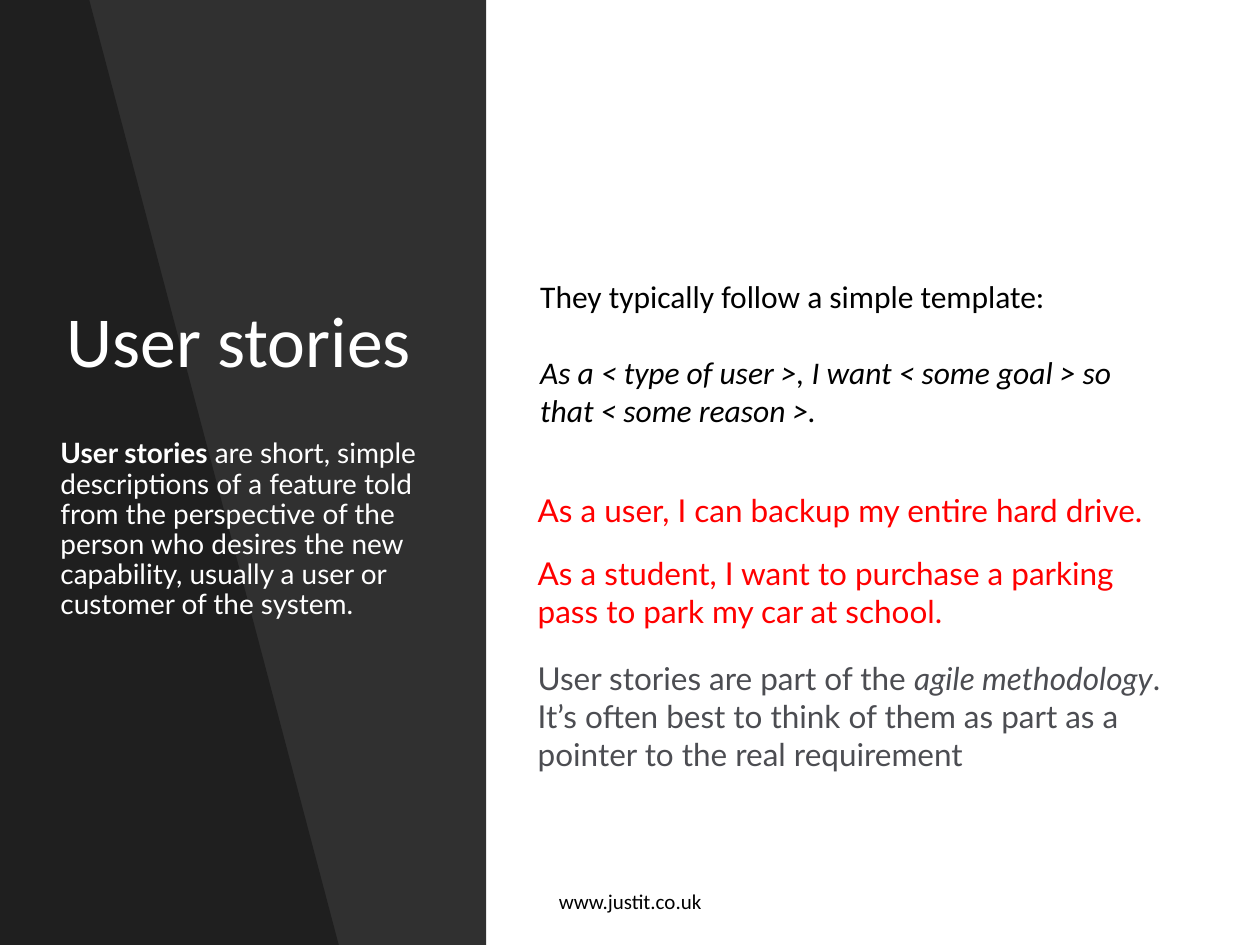
"""Build the user stories slide: dark slanted side panel and story examples."""
from dataclasses import dataclass

from lxml import etree
from pptx import Presentation
from pptx import util as u
from pptx.dml.color import RGBColor
from pptx.enum import shapes, text
from pptx.oxml.ns import qn


@dataclass(frozen=True)
class Theme:
    white: str = "FFFFFF"
    black: str = "000000"
    red: str = "FF0000"
    gray: str = "4C4D52"
    head: str = "Calibri"
    main: str = "Lato"
    title: int = 41
    body: int = 18
    side: int = 16
    foot: int = 12


def paint(shape, color, alpha=100):
    shape.shadow.inherit = False
    shape.line.fill.background()
    shape.fill.solid()
    shape.fill.fore_color.rgb = RGBColor.from_string(color)
    if alpha < 100:
        tint = shape.fill._xPr.find(qn("a:solidFill"))[0]
        etree.SubElement(tint, qn("a:alpha")).set("val", str(alpha * 1000))


def write(slide, place, paras, font, size, color, mid=False):
    box = slide.shapes.add_textbox(*[u.Cm(n) for n in place])
    frame = box.text_frame
    frame.word_wrap = True
    if mid:
        frame.vertical_anchor = text.MSO_ANCHOR.MIDDLE
    for i, runs in enumerate(paras):
        para = frame.add_paragraph() if i else frame.paragraphs[0]
        for words, style in runs:
            run = para.add_run()
            run.text = words
            run.font.name = font
            run.font.size = u.Pt(size)
            run.font.color.rgb = RGBColor.from_string(color)
            run.font.bold = style == "bold"
            run.font.italic = style == "italic"
    return frame.paragraphs


theme = Theme()
deck = Presentation()
deck.slide_width, deck.slide_height = u.Cm(25.4), u.Cm(19.05)
slide = deck.slides.add_slide(deck.slide_layouts[6])
slide.background.fill.solid()
slide.background.fill.fore_color.rgb = RGBColor.from_string(theme.black)

high = deck.slide_height
panels = [(deck.slide_width, theme.white, 100), (u.Cm(9.8), theme.black, 81)]
for wide, color, alpha in panels:
    panel = slide.shapes.add_shape(shapes.MSO_SHAPE.RECTANGLE, 0, 0, wide, high)
    paint(panel, color, alpha)

pen = slide.shapes.build_freeform(0, 0)
pen.add_line_segments([(u.Cm(1.8), 0), (u.Cm(6.83), high), (0, high)])
paint(pen.convert_to_shape(), theme.black, 35)

title = write(slide, (1.09, 3.48, 9.8, 6.91), [[("User stories", "")]],
              theme.head, theme.title, theme.white, True)
title[0].line_spacing = 0.9

foot = write(slide, (8.41, 17.65, 8.59, 1.02), [[("www.justit.co.uk", "")]],
             theme.head, theme.foot, theme.black, True)
foot[0].alignment = text.PP_ALIGN.CENTER

side = write(slide, (0.97, 8.74, 8.53, 4.2), [[
    ("User stories", "bold"),
    (" are short, simple descriptions of a feature told from the perspective "
     "of the person who desires the new capability, usually a user or "
     "customer of the system.", "")]],
    theme.main, theme.side, theme.white)
side[0].line_spacing = 0.9

form = write(slide, (10.64, 5.46, 12.7, 3.33), [
    [("They typically follow a simple template:", "")],
    [("As a < type of user >, I want < some goal > so that < some reason >.",
      "italic")]],
    theme.head, theme.body, theme.black)
form[1].space_before = u.Pt(22)

notes = [
    (9.78, 12.73, 1.02, theme.red,
     [("As a user, I can backup my entire hard drive.", "")]),
    (11.05, 12.73, 1.8, theme.red,
     [("As a student, I want to purchase a parking pass to park my car at "
       "school.", "")]),
    (13.16, 13.69, 2.57, theme.gray,
     [("User stories are part of the ", ""), ("agile methodology", "italic"),
      (". It’s often best to think of them as part as a pointer to the real "
       "requirement", "")]),
]
for top, wide, tall, color, runs in notes:
    write(slide, (10.59, top, wide, tall), [runs], theme.main, theme.body, color)

deck.save("out.pptx")
